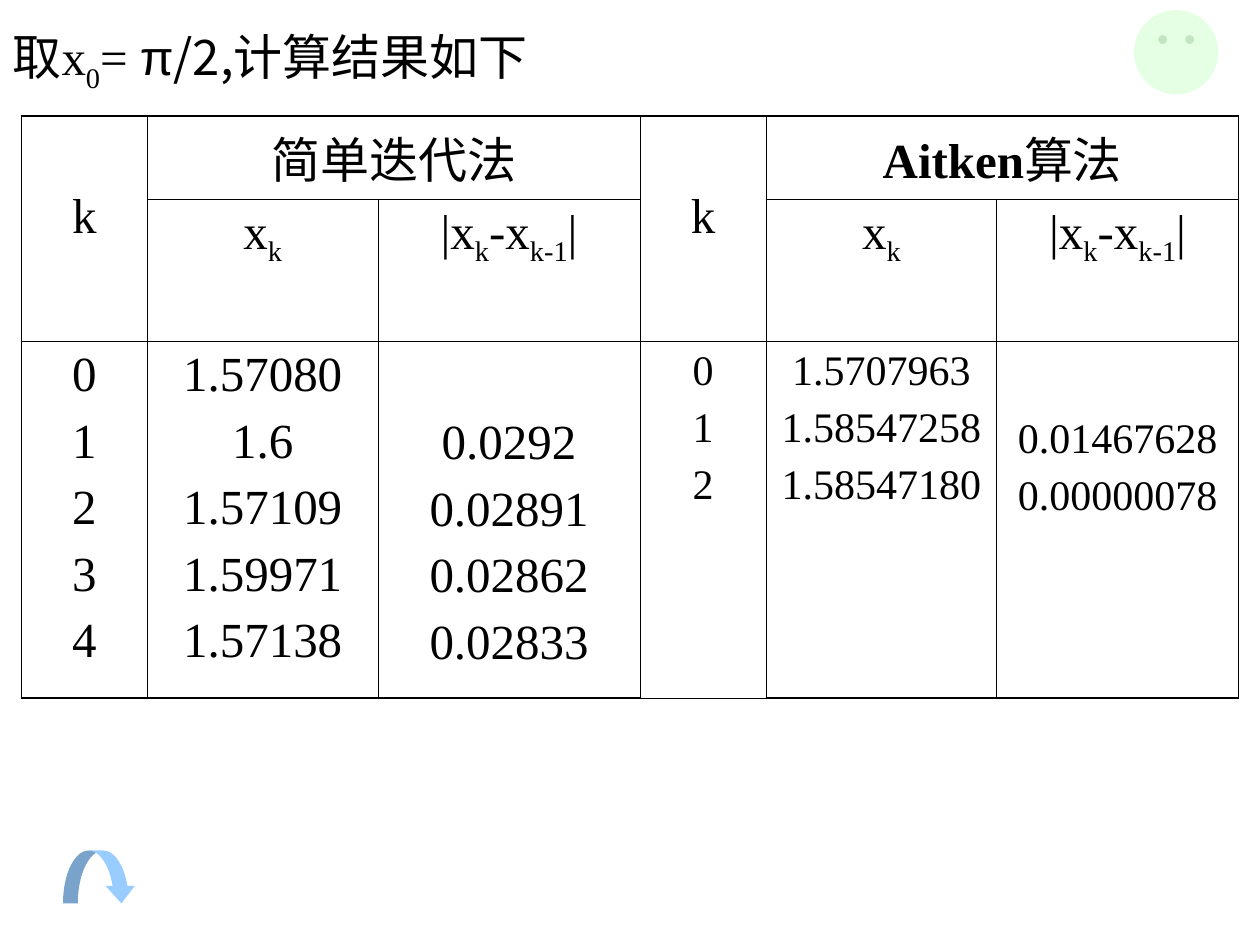
from lxml.etree import SubElement
from pptx import Presentation
from pptx.dml.color import RGBColor
from pptx.enum.shapes import MSO_SHAPE as Shape
from pptx.enum.text import MSO_ANCHOR as Anchor, MSO_AUTO_SIZE as AutoSize, PP_ALIGN as Align
from pptx.oxml import parse_xml
from pptx.oxml.ns import nsdecls, qn
from pptx.util import Inches, Pt

BLACK = RGBColor(0x00, 0x00, 0x00)
MINT = RGBColor(0xCC, 0xFF, 0xCC)
SKY = RGBColor(0x99, 0xCC, 0xFF)
SERIF, SANS, CHINESE = "Times New Roman", "Arial", "Noto Sans CJK SC"
COLUMNS = [1, 1.83, 2.08, 1, 1.83, 1.92]
ROWS = [0.57, 1.13, 2.83]
STEP, DIFFERENCE = "x{k}", "|x{k}-x{k-1}|"
BLANK_LINE = 0.54


def add_text(paragraph, text, font=SERIF, size=28, bold=False):
    """Add runs to a paragraph; parts in braces become subscripts."""
    for index, part in enumerate(text.replace("}", "{").split("{")):
        if not part:
            continue
        run = paragraph.add_run()
        run.text = part
        run.font.name, run.font.size, run.font.bold = font, Pt(size), bold
        run.font.color.rgb = BLACK
        properties = run._r.get_or_add_rPr()
        SubElement(properties, qn("a:ea")).set("typeface", CHINESE)
        if index % 2:
            properties.set("baseline", "-25000")


def fill_cell(cell, lines, size=28, skip=0):
    """Write centred lines into a cell, starting a given distance lower."""
    cell.margin_top = Inches(0.05 + skip)
    frame = cell.text_frame
    for index, line in enumerate(lines):
        paragraph = frame.add_paragraph() if index else frame.paragraphs[0]
        paragraph.alignment = Align.CENTER
        paragraph.space_before = Pt(size / 4)
        add_text(paragraph, line, size=size)


def style_cell(cell, row, column):
    """Clear the fill and rule the cell, with heavier outer edges."""
    cell.fill.background()
    last_row, last_column = row + cell.span_height, column + cell.span_width
    heavy = {
        "lnL": column == 0,
        "lnR": last_column == len(COLUMNS),
        "lnT": row == 0,
        "lnB": last_row == len(ROWS) and column != 3,
    }
    for index, (edge, is_heavy) in enumerate(heavy.items()):
        width = Pt(1.08 if is_heavy else 0.45)
        cell._tc.get_or_add_tcPr().insert(index, parse_xml(
            f'<a:{edge} {nsdecls("a")} w="{int(width)}"><a:solidFill>'
            f'<a:srgbClr val="{BLACK}"/></a:solidFill></a:{edge}>'))


def add_title(slide, left, top, width, height):
    """Place the heading in the title placeholder."""
    title = slide.shapes.title
    title.left, title.top, title.width, title.height = map(Inches, (left, top, width, height))
    frame = title.text_frame
    frame.word_wrap, frame.auto_size = True, AutoSize.NONE
    frame.vertical_anchor = Anchor.TOP
    paragraph = frame.paragraphs[0]
    paragraph.alignment, paragraph.line_spacing = Align.LEFT, 0.9
    add_text(paragraph, "取x{0}= ")
    add_text(paragraph, "π", font=SANS)
    add_text(paragraph, "/2,计算结果如下", font=CHINESE)


def add_results(slide, left, top):
    """Place the table that compares the two iteration methods."""
    frame = slide.shapes.add_table(len(ROWS), len(COLUMNS), Inches(left), Inches(top),
                                   Inches(sum(COLUMNS)), Inches(sum(ROWS)))
    table = frame.table
    table.first_row = table.horz_banding = False
    for column, width in zip(table.columns, COLUMNS):
        column.width = Inches(width)
    for row, height in zip(table.rows, ROWS):
        row.height = Inches(height)

    for start in (0, 3):
        table.cell(0, start).merge(table.cell(1, start))
        table.cell(0, start + 1).merge(table.cell(0, start + 2))
        fill_cell(table.cell(0, start), ["k"], skip=BLANK_LINE)
        fill_cell(table.cell(1, start + 1), [STEP])
        fill_cell(table.cell(1, start + 2), [DIFFERENCE])
    fill_cell(table.cell(0, 1), ["简单迭代法"])
    heading = table.cell(0, 4).text_frame.paragraphs[0]
    heading.alignment = Align.CENTER
    add_text(heading, "Aitken", bold=True)
    add_text(heading, "算法")

    results = [
        (28, ["0", "1", "2", "3", "4"]),
        (28, ["1.57080", "1.6", "1.57109", "1.59971", "1.57138"]),
        (28, ["0.0292", "0.02891", "0.02862", "0.02833"]),
        (24, ["0", "1", "2"]),
        (24, ["1.5707963", "1.58547258", "1.58547180"]),
        (24, ["0.01467628", "0.00000078"]),
    ]
    for column, (size, lines) in enumerate(results):
        skip = BLANK_LINE if column % 3 == 2 else 0
        fill_cell(table.cell(2, column), lines, size=size, skip=skip)
    for row in range(len(ROWS)):
        for column in range(len(COLUMNS)):
            style_cell(table.cell(row, column), row, column)


def add_ornament(slide, kind, color, left, top, width, height):
    """Place a plain filled preset shape and return it."""
    shape = slide.shapes.add_shape(kind, *map(Inches, (left, top, width, height)))
    shape.shadow.inherit = False
    shape.fill.solid()
    shape.fill.fore_color.rgb = color
    shape.line.fill.background()
    return shape


def build_slide(presentation):
    """Build the slide of calculation results."""
    slide = presentation.slides.add_slide(presentation.slide_layouts[5])
    add_title(slide, 0, 0.17, 10, 0.58)
    add_results(slide, 0.17, 0.92)
    face = add_ornament(slide, Shape.SMILEY_FACE, MINT, 9, 0.08, 0.67, 0.67)
    color = face._element.spPr.find(qn("a:solidFill")).find(qn("a:srgbClr"))
    SubElement(color, qn("a:alpha")).set("val", "50000")
    arrow = add_ornament(slide, Shape.CURVED_DOWN_ARROW, SKY, 0.5, 6.75, 0.58, 0.42)
    for index, value in enumerate((0.28, 0.55, 0.33)):
        arrow.adjustments[index] = value


presentation = Presentation()
presentation.slide_width, presentation.slide_height = Inches(10), Inches(7.5)
build_slide(presentation)
presentation.save("out.pptx")
